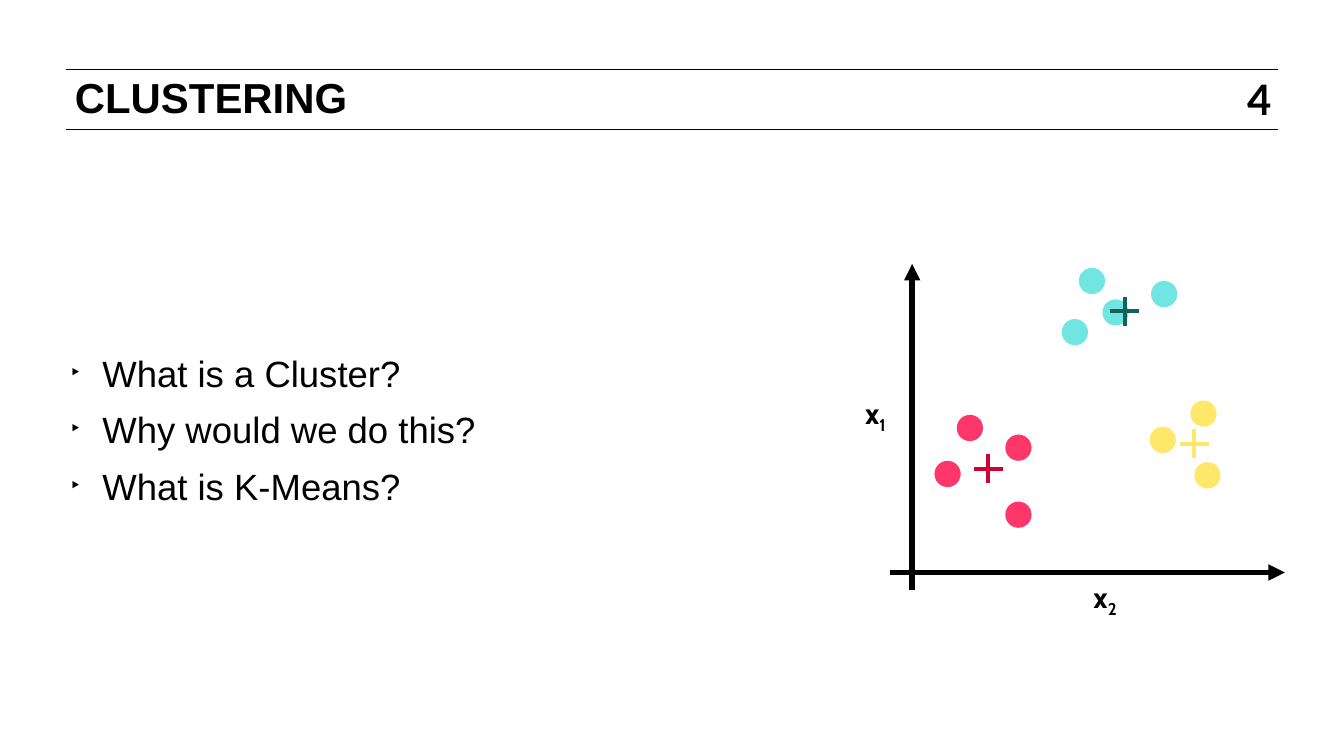
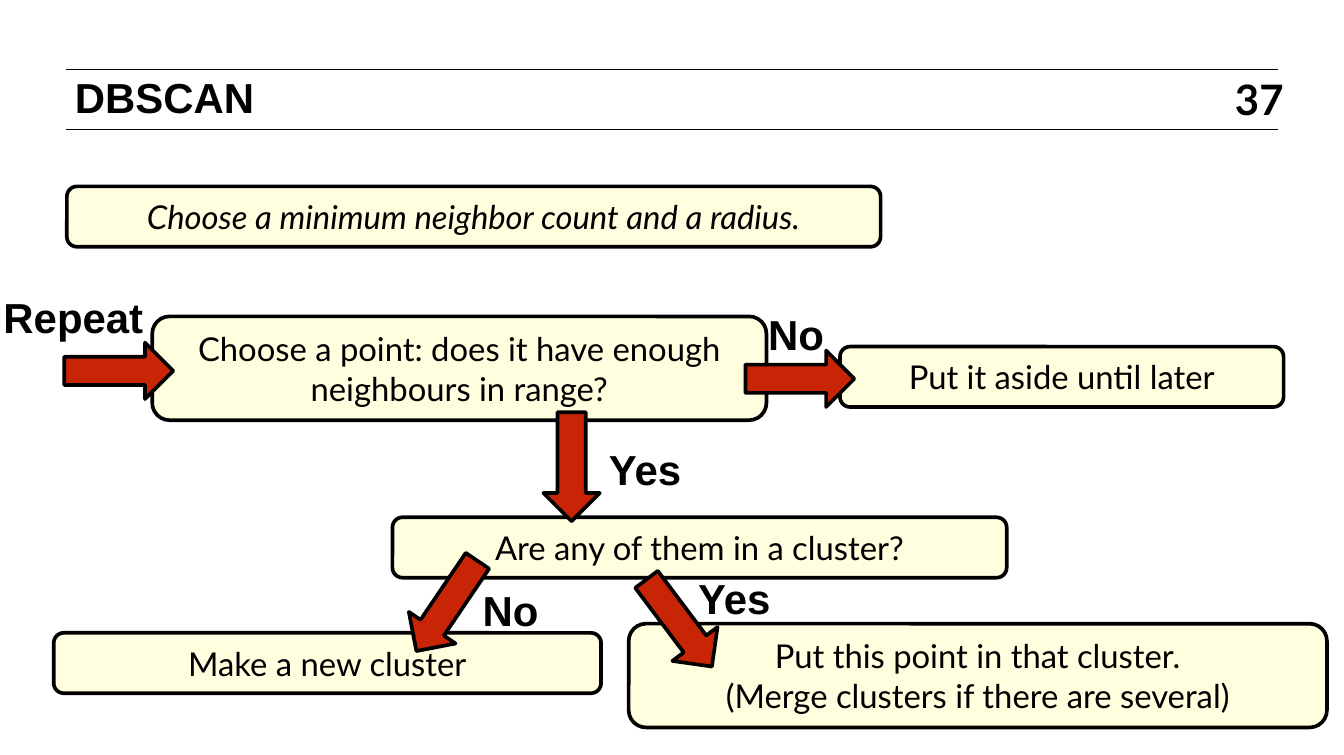
"""Build two slides on clustering: an introduction and the DBSCAN flowchart."""
import lxml.etree
import pptx
import pptx.dml.color
import pptx.enum.shapes
import pptx.enum.text
import pptx.oxml.ns
import pptx.util

PX = 9144
qn = pptx.oxml.ns.qn
Pt = pptx.util.Pt
Preset = pptx.enum.shapes.MSO_SHAPE
Anchor = pptx.enum.text.MSO_ANCHOR
Align = pptx.enum.text.PP_ALIGN


def rgb(code):
    return pptx.dml.color.RGBColor.from_string(code)


class Theme:
    ink = rgb("000000")
    step = rgb("FFFEDE")
    arrow = rgb("C82506")
    pink, pink_center = rgb("FF3669"), rgb("CE0035")
    teal, teal_center = rgb("70E5E1"), rgb("11615E")
    yellow = rgb("FFE76A")
    heading_font, step_font, axis_font = "Arial", "Lato", "Cabin"
    heading_size, list_size, step_size, axis_size = 23, 20, 18, 16
    rule, outline, cross, axis = 0.5, 2, 2.25, 3


def write(shape, text, font=Theme.heading_font, size=Theme.heading_size, bold=False,
          italic=False, align=Align.CENTER, anchor=Anchor.MIDDLE, inset=6, wrap=True,
          leading=None, gap=0, bullet=None, subscript=None):
    frame = shape.text_frame
    frame.auto_size = pptx.enum.text.MSO_AUTO_SIZE.NONE
    frame.word_wrap = wrap
    frame.vertical_anchor = anchor
    frame.margin_left = frame.margin_right = inset * PX
    frame.margin_top = frame.margin_bottom = inset * PX
    for index, line in enumerate(text.split("\n")):
        paragraph = frame.add_paragraph() if index else frame.paragraphs[0]
        if bullet:
            properties = paragraph._p.get_or_add_pPr()
            properties.set("marL", str(28 * PX))
            properties.set("indent", str(-24 * PX))
            color = lxml.etree.SubElement(properties, qn("a:buClr"))
            lxml.etree.SubElement(color, qn("a:srgbClr"), val=str(Theme.ink))
            lxml.etree.SubElement(properties, qn("a:buSzPct"), val="69000")
            lxml.etree.SubElement(properties, qn("a:buChar"), char=bullet)
        paragraph.alignment = align
        paragraph.space_before = Pt(gap if index else 0)
        if leading:
            paragraph.line_spacing = Pt(leading)
        for part in filter(None, (line, subscript)):
            run = paragraph.add_run()
            run.text = part
            run.font.name, run.font.size = font, Pt(size)
            run.font.bold, run.font.italic = bold, italic
            run.font.color.rgb = Theme.ink
        if subscript:
            run.font._element.set("baseline", "-25000")


def draw_line(slide, start, end, color, width, arrow=False):
    connector = slide.shapes.add_connector(
        pptx.enum.shapes.MSO_CONNECTOR.STRAIGHT, *(value * PX for value in start + end))
    connector.line.color.rgb = color
    connector.line.width = Pt(width)
    properties = connector._element.spPr
    if arrow:
        lxml.etree.SubElement(properties.find(qn("a:ln")), qn("a:tailEnd"), type="triangle")
    lxml.etree.SubElement(properties, qn("a:effectLst"))


deck = pptx.Presentation()
deck.slide_width, deck.slide_height = 1024 * PX, 575 * PX

for layout, heading, number in ((1, "CLUSTERING", "4"), (5, "DBSCAN", "37")):
    slide = deck.slides.add_slide(deck.slide_layouts[layout])
    for y in (53, 99):
        draw_line(slide, (50, y), (974, y), Theme.ink, Theme.rule)
    page = slide.shapes.add_textbox(940 * PX, 56 * PX, 39 * PX, 38 * PX)
    write(page, number, font=Theme.step_font, bold=True, inset=0, wrap=False)
    title = slide.shapes.title
    title.left, title.top, title.width, title.height = 51 * PX, 55 * PX, 861 * PX, 55 * PX
    write(title, heading, bold=True, align=Align.LEFT, anchor=Anchor.TOP, leading=23)

intro, dbscan = deck.slides

questions = intro.placeholders[1]
questions.left, questions.top = 50 * PX, 266 * PX
questions.width, questions.height = 556 * PX, 122 * PX
write(questions, "What is a Cluster?\nWhy would we do this?\nWhat is K-Means?",
      size=Theme.list_size, align=Align.LEFT, inset=0, leading=24, gap=7, bullet="‣")

draw_line(intro, (695, 449), (695, 201), Theme.ink, Theme.axis, arrow=True)
draw_line(intro, (678, 436), (979, 436), Theme.ink, Theme.axis, arrow=True)

clusters = (
    (Theme.pink, Theme.pink_center, (753, 357),
     ((729, 316), (766, 331), (712, 351), (766, 382))),
    (Theme.teal, Theme.teal_center, (857, 237),
     ((809, 243), (840, 228), (822, 204), (877, 214))),
    (Theme.yellow, Theme.yellow, (910, 338),
     ((907, 305), (876, 325), (910, 352))),
)
for color, center_color, (x, y), points in clusters:
    for left, top in points:
        point = intro.shapes.add_shape(Preset.OVAL, left * PX, top * PX, 20 * PX, 20 * PX)
        point.shadow.inherit = False
        point.fill.solid()
        point.fill.fore_color.rgb = color
        point.line.fill.background()
    draw_line(intro, (x - 11, y), (x + 11, y), center_color, Theme.cross)
    draw_line(intro, (x, y - 11), (x, y + 11), center_color, Theme.cross)

for left, top, index in ((645, 296, "1"), (820, 436, "2")):
    axis_name = intro.shapes.add_textbox(left * PX, top * PX, 44 * PX, 41 * PX)
    write(axis_name, "x", font=Theme.axis_font, size=Theme.axis_size, bold=True,
          anchor=Anchor.TOP, inset=5, subscript=index)

steps = (
    (116, 241, 468, 79, "Choose a point: does it have enough neighbours in range?", False),
    (51, 142, 620, 46, "Choose a minimum neighbor count and a radius.", True),
    (640, 264, 338, 46, "Put it aside until later", False),
    (299, 394, 468, 46, "Are any of them in a cluster?", False),
    (479, 475, 532, 79,
     "Put this point in that cluster.\n(Merge clusters if there are several)", False),
    (41, 482, 417, 46, "Make a new cluster", False),
)
arrows = ((568, 267, 0), (394, 334, 90), (299, 440, 124.1), (476, 453, 53.1), (49, 261, 0))
outlined = [(Preset.ROUNDED_RECTANGLE, box, Theme.step, 0, text, italic)
            for *box, text, italic in steps]
outlined += [(Preset.RIGHT_ARROW, (left, top, 83, 43), Theme.arrow, turn, None, False)
             for left, top, turn in arrows]
for preset, box, color, turn, text, italic in outlined:
    node = dbscan.shapes.add_shape(preset, *(value * PX for value in box))
    node.shadow.inherit = False
    node.rotation = turn
    node.fill.solid()
    node.fill.fore_color.rgb = color
    node.line.color.rgb = Theme.ink
    node.line.width = Pt(Theme.outline)
    if text:
        write(node, text, font=Theme.step_font, size=Theme.step_size, italic=italic)

for left, top, width, answer in (
        (578, 229, 57, "No"), (457, 332, 69, "Yes"), (362, 439, 54, "No"),
        (525, 430, 69, "Yes"), (-7, 216, 126, "Repeat")):
    label = dbscan.shapes.add_textbox(left * PX, top * PX, width * PX, 50 * PX)
    write(label, answer, bold=True, wrap=False)

deck.save("out.pptx")
